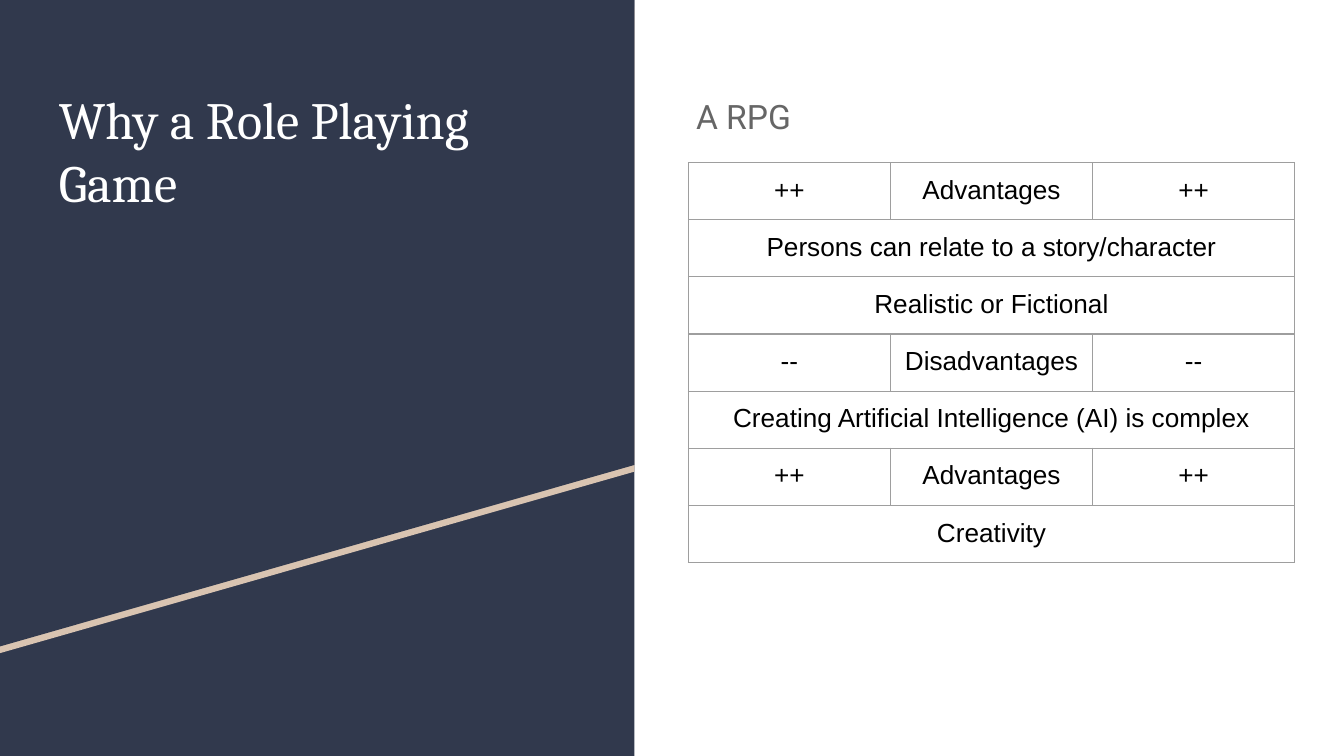
"""Build the slide on the pros and cons of a role playing game."""
from lxml.etree import SubElement
from pptx import Presentation
from pptx.dml.color import RGBColor
from pptx.enum.shapes import MSO_SHAPE
from pptx.enum.text import MSO_ANCHOR, PP_ALIGN
from pptx.oxml.ns import qn
from pptx.util import Pt

NAVY = RGBColor(0x31, 0x39, 0x4D)
SAND = RGBColor(0xD9, 0xC4, 0xB1)
WHITE = RGBColor(0xFF, 0xFF, 0xFF)
GRAY = RGBColor(0x66, 0x66, 0x66)
BLACK = RGBColor(0, 0, 0)
BORDER = RGBColor(0x9E, 0x9E, 0x9E)

TITLE = "Why a Role Playing Game"
SUBTITLE = "A RPG"
ROWS = [
    ("++", "Advantages", "++"),
    ("Persons can relate to a story/character",),
    ("Realistic or Fictional",),
    ("--", "Disadvantages", "--"),
    ("Creating Artificial Intelligence (AI) is complex",),
    ("++", "Advantages", "++"),
    ("Creativity",),
]

SLIDE_WIDTH, SLIDE_HEIGHT = 720, 405
PANEL_WIDTH = 339.84
SLOPE_RIGHT, SLOPE_LEFT = 249.1, 346.3
STRIPE_DROP = 3.6
TABLE_LEFT, TABLE_TOP = 368.8, 87.1
COLUMN_COUNT, COLUMN_WIDTH, ROW_HEIGHT = 3, 108.3, 30.1
INSET = 7.2


def paint(shape, color):
    shape.shadow.inherit = False
    shape.fill.solid()
    shape.fill.fore_color.rgb = color
    shape.line.fill.background()


def add_slope(slide, drop, color):
    corners = [(0, drop), (PANEL_WIDTH, drop),
               (PANEL_WIDTH, SLOPE_RIGHT + drop), (0, SLOPE_LEFT + drop)]
    points = [(Pt(x), Pt(y)) for x, y in corners]
    builder = slide.shapes.build_freeform(*points[0])
    builder.add_line_segments(points[1:], close=True)
    paint(builder.convert_to_shape(), color)


def add_text(slide, text, box, font_name, size, color):
    frame = slide.shapes.add_textbox(*map(Pt, box)).text_frame
    frame.word_wrap = True
    frame.margin_left = frame.margin_right = Pt(INSET)
    frame.margin_top = frame.margin_bottom = Pt(INSET)
    paragraph = frame.paragraphs[0]
    paragraph.text = text
    style_font(paragraph, font_name, size, color)
    return paragraph


def style_font(paragraph, font_name, size, color):
    paragraph.font.name = font_name
    paragraph.font.size = Pt(size)
    paragraph.font.color.rgb = color


def style_cell(cell):
    cell.margin_left = cell.margin_right = Pt(INSET)
    cell.margin_top = cell.margin_bottom = Pt(6.9)
    cell.vertical_anchor = MSO_ANCHOR.TOP
    properties = cell._tc.get_or_add_tcPr()
    for side in ("a:lnL", "a:lnR", "a:lnT", "a:lnB"):
        line = SubElement(properties, qn(side), w=str(Pt(0.75)))
        fill = SubElement(line, qn("a:solidFill"))
        SubElement(fill, qn("a:srgbClr"), val=str(BORDER))
    cell.fill.background()


def add_comparison(slide):
    table = slide.shapes.add_table(
        len(ROWS), COLUMN_COUNT, Pt(TABLE_LEFT), Pt(TABLE_TOP),
        Pt(COLUMN_COUNT * COLUMN_WIDTH), Pt(len(ROWS) * ROW_HEIGHT)).table
    table.first_row = table.horz_banding = False
    for column in table.columns:
        column.width = Pt(COLUMN_WIDTH)
    for index, texts in enumerate(ROWS):
        table.rows[index].height = Pt(ROW_HEIGHT)
        for column in range(COLUMN_COUNT):
            style_cell(table.cell(index, column))
        if len(texts) == 1:
            table.cell(index, 0).merge(table.cell(index, COLUMN_COUNT - 1))
        for column, text in enumerate(texts):
            paragraph = table.cell(index, column).text_frame.paragraphs[0]
            paragraph.text = text
            paragraph.alignment = PP_ALIGN.CENTER
            style_font(paragraph, "Arial", 14, BLACK)


def main():
    presentation = Presentation()
    presentation.slide_width = Pt(SLIDE_WIDTH)
    presentation.slide_height = Pt(SLIDE_HEIGHT)
    slide = presentation.slides.add_slide(presentation.slide_layouts[6])
    slide.background.fill.solid()
    slide.background.fill.fore_color.rgb = WHITE

    panel = slide.shapes.add_shape(
        MSO_SHAPE.RECTANGLE, 0, 0, Pt(PANEL_WIDTH), Pt(SLIDE_HEIGHT))
    paint(panel, NAVY)
    add_slope(slide, STRIPE_DROP, SAND)
    add_slope(slide, 0, NAVY)

    add_text(slide, TITLE, (24.5, 39.6, 291.6, 197.3), "Cambria", 28, WHITE)
    subtitle = add_text(
        slide, SUBTITLE, (365.8, 41, 328.3, 322.6), "Roboto", 18, GRAY)
    subtitle.line_spacing = 1.15
    subtitle.space_after = Pt(16)
    add_comparison(slide)
    presentation.save("out.pptx")


if __name__ == "__main__":
    main()
